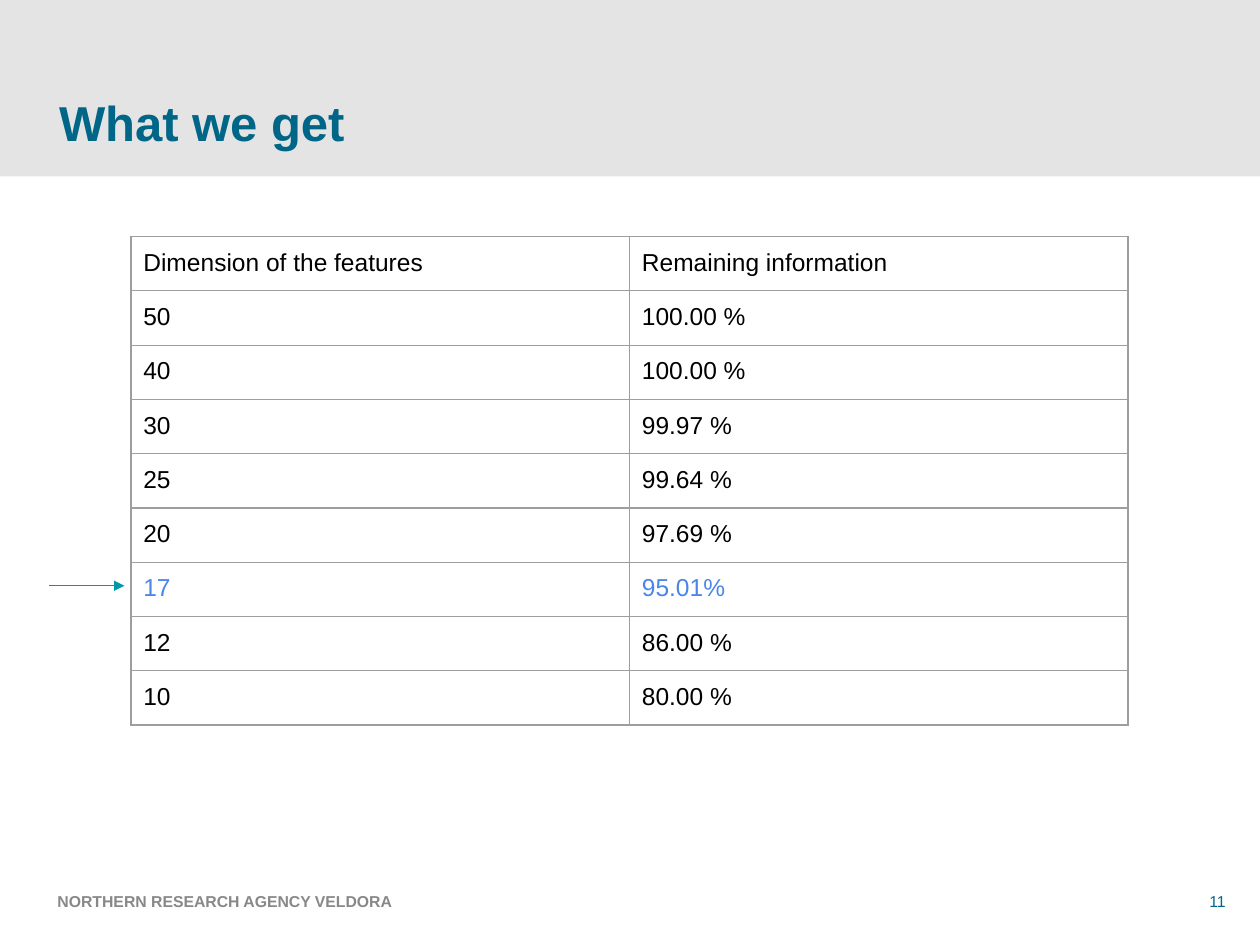
"""Build the slide that tabulates remaining information by feature dimension."""
import pptx
import pptx.dml.color
import pptx.enum.shapes
import pptx.enum.text
import pptx.oxml
import pptx.oxml.ns
import pptx.util

Cm, Pt = pptx.util.Cm, pptx.util.Pt
ANCHOR = pptx.enum.text.MSO_ANCHOR

TITLE = "What we get"
FOOTER = "NORTHERN RESEARCH AGENCY VELDORA"
PAGE = "11"
ROWS = [
    ("Dimension of the features", "Remaining information"),
    ("50", "100.00 %"),
    ("40", "100.00 %"),
    ("30", "99.97 %"),
    ("25", "99.64 %"),
    ("20", "97.69 %"),
    ("17", "95.01%"),
    ("12", "86.00 %"),
    ("10", "80.00 %"),
]
CHOSEN = "17"
TEAL, GREY, BLACK, BLUE = "006688", "888888", "000000", "4A86E8"
BAND, BORDER, ARROW = "E4E4E4", "9E9E9E", "0099AA"
TABLE_LEFT, TABLE_TOP, COL_W, ROW_H = 2.64, 4.77, 10.05, 1.06


def rgb(value):
    return pptx.dml.color.RGBColor.from_string(value)


def add_run(p, text, size, color, bold=False):
    r = p.add_run()
    r.text = text
    r.font.name = "Arial"
    r.font.size = Pt(size)
    r.font.bold = bold
    r.font.color.rgb = rgb(color)


def add_xml(parent, xml):
    ns = pptx.oxml.ns.nsdecls("a")
    parent.append(pptx.oxml.parse_xml(xml.replace("NS", ns, 1)))


def add_band(s):
    sp = s.shapes.add_shape(pptx.enum.shapes.MSO_SHAPE.RECTANGLE, 0, 0, Cm(25.4), Cm(3.56))
    sp.shadow.inherit = False
    sp.fill.solid()
    sp.fill.fore_color.rgb = rgb(BAND)
    sp.line.fill.background()
    s.shapes.element.insert(2, sp.element)


def add_title(s):
    sp = s.shapes.title
    sp.left, sp.top, sp.width, sp.height = Cm(1.19), Cm(0.51), Cm(22.73), Cm(2.54)
    tf = sp.text_frame
    tf.margin_left = tf.margin_right = tf.margin_top = tf.margin_bottom = 0
    tf.vertical_anchor = ANCHOR.BOTTOM
    tf.auto_size = pptx.enum.text.MSO_AUTO_SIZE.NONE
    p = tf.paragraphs[0]
    p.alignment = pptx.enum.text.PP_ALIGN.LEFT
    add_run(p, TITLE, 28, TEAL, True)


def add_footer_text(s, text, left, width, color, bold):
    tf = s.shapes.add_textbox(Cm(left), Cm(17.65), Cm(width), Cm(1.02)).text_frame
    tf.word_wrap = True
    tf.vertical_anchor = ANCHOR.MIDDLE
    add_run(tf.paragraphs[0], text, 9, color, bold)


def format_cell(cell, text, color):
    cell.margin_left = cell.margin_right = cell.margin_top = cell.margin_bottom = Cm(0.25)
    add_run(cell.text_frame.paragraphs[0], text, 14, color)
    for side in "LRTB":
        add_xml(cell._tc.get_or_add_tcPr(),
                f'<a:ln{side} NS w="{Pt(0.75)}"><a:solidFill>'
                f'<a:srgbClr val="{BORDER}"/></a:solidFill></a:ln{side}>')
    cell.fill.background()


def add_table(s):
    cols = len(ROWS[0])
    table = s.shapes.add_table(len(ROWS), cols, Cm(TABLE_LEFT), Cm(TABLE_TOP),
                               Cm(COL_W * cols), Cm(ROW_H * len(ROWS))).table
    table.first_row = table.horz_banding = False
    for col in table.columns:
        col.width = Cm(COL_W)
    for i, values in enumerate(ROWS):
        table.rows[i].height = Cm(ROW_H)
        color = BLUE if values[0] == CHOSEN else BLACK
        for j, text in enumerate(values):
            format_cell(table.cell(i, j), text, color)


def add_arrow(s):
    chosen = [row[0] for row in ROWS].index(CHOSEN)
    y = Cm(TABLE_TOP + ROW_H * (chosen + 0.64))
    line = s.shapes.add_connector(pptx.enum.shapes.MSO_CONNECTOR.STRAIGHT,
                                  Cm(0.99), y, Cm(2.51), y)
    line.line.color.rgb = rgb(ARROW)
    line.line.width = Pt(0.75)
    add_xml(line.line._get_or_add_ln(), '<a:tailEnd NS type="triangle" w="med" len="med"/>')
    add_xml(line.element.spPr, "<a:effectLst NS/>")


def main():
    prs = pptx.Presentation()
    prs.slide_width, prs.slide_height = Cm(25.4), Cm(19.05)
    s = prs.slides.add_slide(prs.slide_layouts[5])
    add_band(s)
    add_title(s)
    add_footer_text(s, PAGE, 24.13, 1.27, TEAL, False)
    add_footer_text(s, FOOTER, 0.91, 15.77, GREY, True)
    add_table(s)
    add_arrow(s)
    prs.save("out.pptx")


if __name__ == "__main__":
    main()
